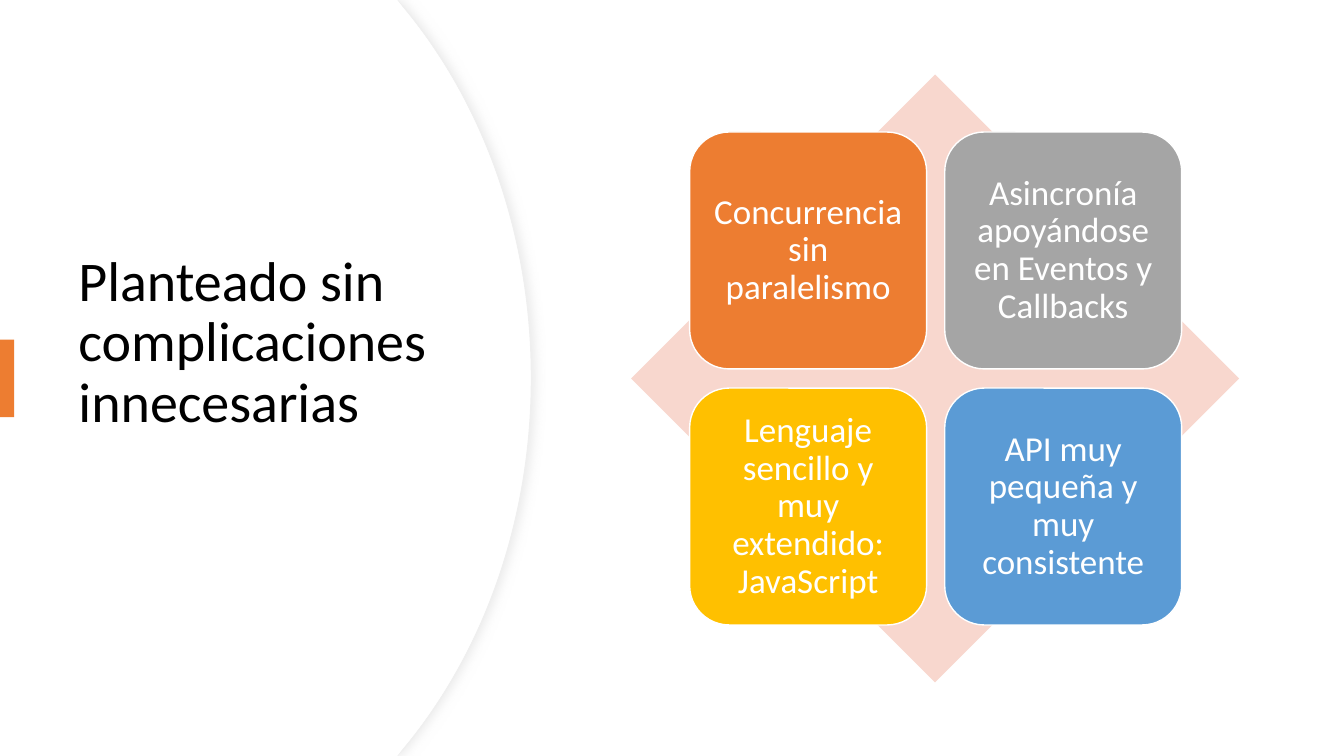
from dataclasses import dataclass

from lxml import etree
from pptx import Presentation
from pptx.dml.color import RGBColor
from pptx.enum.shapes import MSO_SHAPE
from pptx.enum.text import MSO_ANCHOR, PP_ALIGN
from pptx.oxml.ns import qn
from pptx.shapes.autoshape import Shape
from pptx.slide import Slide
from pptx.text.text import TextFrame
from pptx.util import Inches, Pt


@dataclass(frozen=True)
class Theme:
    font: str = "Calibri"
    title_size: int = 40
    card_size: int = 25
    white: str = "FFFFFF"
    black: str = "000000"
    accent: str = "ED7D31"
    diamond: str = "F8D7CE"
    panel_edge: str = "EFEFEF"
    panel_shadow: str = "D9D9D9"


@dataclass(frozen=True)
class Card:
    text: str
    color: str


THEME = Theme()
CARDS = [
    Card("Concurrencia sin paralelismo", THEME.accent),
    Card("Asincronía apoyándose en Eventos y Callbacks", "A5A5A5"),
    Card("Lenguaje sencillo y muy extendido: JavaScript", "FFC000"),
    Card("API muy pequeña y muy consistente", "5B9BD5"),
]

SLIDE_WIDTH, SLIDE_HEIGHT = 13.33, 7.5
CARD_SIZE = 2.35
CARD_LEFTS = (6.84, 9.37)
CARD_TOPS = (1.31, 3.85)

Point = tuple[float, float]


def paint(shape: Shape, fill: str, line: str | None = None, width: float = 1) -> None:
    shape.shadow.inherit = False
    shape.fill.solid()
    shape.fill.fore_color.rgb = RGBColor.from_string(fill)
    if line is None:
        shape.line.fill.background()
    else:
        shape.line.color.rgb = RGBColor.from_string(line)
        shape.line.width = Pt(width)


def add_preset(slide: Slide, preset: MSO_SHAPE, left: float, top: float,
               width: float, height: float) -> Shape:
    return slide.shapes.add_shape(
        preset, Inches(left), Inches(top), Inches(width), Inches(height))


def write_text(frame: TextFrame, text: str, size: int, color: str,
               alignment: PP_ALIGN) -> None:
    frame.word_wrap = True
    frame.vertical_anchor = MSO_ANCHOR.MIDDLE
    paragraph = frame.paragraphs[0]
    paragraph.alignment = alignment
    paragraph.line_spacing = 0.9
    run = paragraph.add_run()
    run.text = text
    run.font.name = THEME.font
    run.font.size = Pt(size)
    run.font.color.rgb = RGBColor.from_string(color)


def bend(segment: etree._Element, controls: list[Point]) -> None:
    """Turn a straight path segment into a cubic curve with the same end point."""
    segment.tag = qn("a:cubicBezTo")
    for index, (x, y) in enumerate(controls):
        point = etree.Element(qn("a:pt"), x=str(Inches(x)), y=str(Inches(y)))
        segment.insert(index, point)


def add_curved_panel(slide: Slide, right: float) -> Shape:
    """Add a full-height panel whose right side bulges out to the given position."""
    shoulder, bulge = right - 1.26, right - 0.48
    middle = SLIDE_HEIGHT / 2
    corners = [(3.94, 0), (shoulder, 0.08), (right, middle),
               (shoulder, SLIDE_HEIGHT - 0.08), (3.94, SLIDE_HEIGHT), (0, SLIDE_HEIGHT)]
    builder = slide.shapes.build_freeform(0, 0)
    builder.add_line_segments([(Inches(x), Inches(y)) for x, y in corners], close=True)
    panel = builder.convert_to_shape()

    segments = list(panel._element.iter(qn("a:lnTo")))
    upper = [(bulge, 1.02), (right, 2.32)]
    lower = [(x, SLIDE_HEIGHT - y) for x, y in reversed(upper)]
    for segment, controls in zip(segments[2:4], (upper, lower)):
        curve = etree.Element(qn("a:cubicBezTo"))
        for x, y in controls:
            etree.SubElement(curve, qn("a:pt"), x=str(Inches(x)), y=str(Inches(y)))
        curve.append(segment[0])
        segment.getparent().replace(segment, curve)
    return panel


def add_soft_shadow(shape: Shape) -> None:
    effects = shape._element.spPr.find(qn("a:effectLst"))
    shadow = etree.SubElement(
        effects, qn("a:outerShdw"), blurRad=str(Pt(7)), dist=str(Pt(3)), dir="0",
        algn="l", rotWithShape="0")
    color = etree.SubElement(shadow, qn("a:srgbClr"), val=THEME.panel_shadow)
    etree.SubElement(color, qn("a:alpha"), val="50000")


def add_title_side(slide: Slide) -> None:
    edge_panel = add_curved_panel(slide, 5.27)
    paint(edge_panel, THEME.white, THEME.panel_edge, 0.75)
    add_soft_shadow(edge_panel)
    paint(add_curved_panel(slide, 5.26), THEME.white)

    title = slide.shapes.add_textbox(Inches(0.68), Inches(1.27), Inches(3.94), Inches(4.95))
    title.text_frame.margin_bottom = Inches(0.72)
    write_text(title.text_frame, "Planteado sin complicaciones innecesarias",
               THEME.title_size, THEME.black, PP_ALIGN.LEFT)
    paint(add_preset(slide, MSO_SHAPE.RECTANGLE, 0, 3.37, 0.14, 0.77), THEME.accent)


def add_card(slide: Slide, card: Card, left: float, top: float) -> None:
    shape = add_preset(slide, MSO_SHAPE.ROUNDED_RECTANGLE, left, top, CARD_SIZE, CARD_SIZE)
    paint(shape, card.color, THEME.white)
    frame = shape.text_frame
    frame.margin_left = frame.margin_right = Inches(0.1)
    frame.margin_top = frame.margin_bottom = Inches(0.1)
    write_text(frame, card.text, THEME.card_size, THEME.white, PP_ALIGN.CENTER)


def add_matrix(slide: Slide) -> None:
    paint(add_preset(slide, MSO_SHAPE.DIAMOND, 6.26, 0.74, 6.03, 6.03), THEME.diamond)
    for index, card in enumerate(CARDS):
        row, column = divmod(index, len(CARD_LEFTS))
        add_card(slide, card, CARD_LEFTS[column], CARD_TOPS[row])


def main() -> None:
    presentation = Presentation()
    presentation.slide_width = Inches(SLIDE_WIDTH)
    presentation.slide_height = Inches(SLIDE_HEIGHT)
    slide = presentation.slides.add_slide(presentation.slide_layouts[6])
    add_title_side(slide)
    add_matrix(slide)
    presentation.save("out.pptx")


if __name__ == "__main__":
    main()
